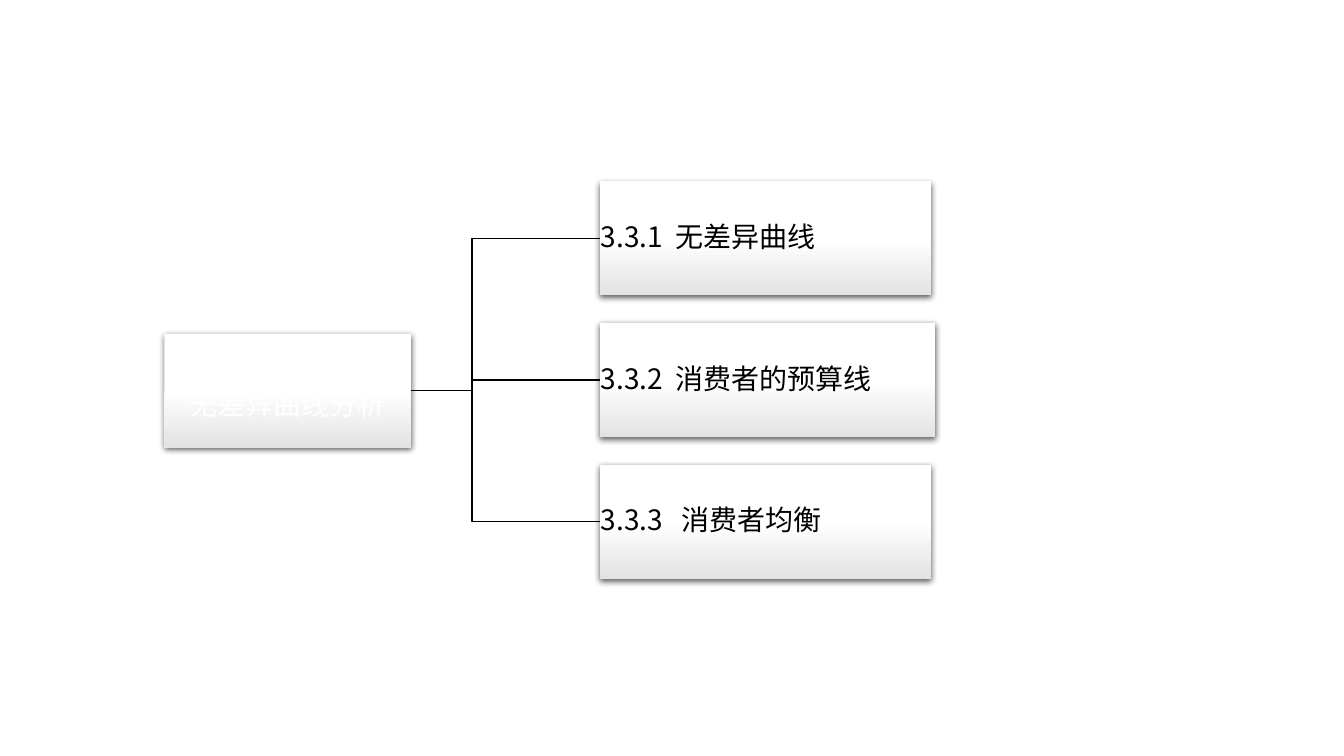
"""Build the indifference curve analysis outline slide."""
from lxml.etree import SubElement
from pptx import Presentation
from pptx.dml.color import RGBColor
from pptx.enum.shapes import MSO_SHAPE
from pptx.enum.text import MSO_ANCHOR, PP_ALIGN
from pptx.oxml import parse_xml
from pptx.oxml.ns import nsdecls, qn
from pptx.util import Pt

ROOT = "无差异曲线分析"
TOPICS = [
    ("3.3.1", "无差异曲线", 236.9, 53.3),
    ("3.3.2", "消费者的预算线", 239.8, 53.3),
    ("3.3.3", "消费者均衡", 236.9, 57.8),
]
THEME = {
    "font": "Noto Sans CJK SC", "size": 20, "ink": "000000", "light": "FFFFFF",
    "line": 1, "stops": [(0, "FFFFFF"), (50, "FFFFFF"), (100, "E3E3E3")],
}
ROOT_X, ROOT_Y, ROOT_W, BOX_H = 117.4, 238.3, 176.4, 81.4
TOPIC_X, TOPIC_Y, PITCH = 428.4, 129.6, 101.2
INSET, ROOT_TOP = 0.72, 24


def style_box(sp):
    """Give a box its vertical gradient and soft shadow."""
    sp.line.fill.background()
    stops = "".join(f'<a:gs pos="{pos * 1000}"><a:srgbClr val="{color}"/></a:gs>'
                    for pos, color in THEME["stops"])
    spPr = sp._element.spPr
    spPr.find(qn("a:prstGeom")).addnext(parse_xml(
        f'<a:gradFill {nsdecls("a")} rotWithShape="1"><a:gsLst>{stops}</a:gsLst>'
        '<a:lin ang="5400000" scaled="0"/></a:gradFill>'))
    spPr.append(parse_xml(
        f'<a:effectLst {nsdecls("a")}><a:outerShdw blurRad="57150" dist="19050" '
        'dir="5400000" algn="ctr" rotWithShape="0"><a:srgbClr val="000000">'
        '<a:alpha val="63000"/></a:srgbClr></a:outerShdw></a:effectLst>'))


def add_box(s, x, y, w, text, color, align, top=INSET, tab=None):
    """Add one labelled box."""
    sp = s.shapes.add_shape(MSO_SHAPE.RECTANGLE, Pt(x), Pt(y), Pt(w), Pt(BOX_H))
    style_box(sp)
    tf = sp.text_frame
    tf.word_wrap = True
    tf.vertical_anchor = MSO_ANCHOR.MIDDLE
    tf.margin_left = tf.margin_right = tf.margin_bottom = Pt(INSET)
    tf.margin_top = Pt(top)
    p = tf.paragraphs[0]
    p.alignment = align
    p.line_spacing = 0.9
    if tab:
        tabs = SubElement(p._p.get_or_add_pPr(), qn("a:tabLst"))
        SubElement(tabs, qn("a:tab"), pos=str(Pt(tab)), algn="l")
    r = p.add_run()
    r.text = text
    r.font.size = Pt(THEME["size"])
    r.font.color.rgb = RGBColor.from_string(color)
    r.font.name = THEME["font"]
    SubElement(r._r.get_or_add_rPr(), qn("a:ea"), typeface=THEME["font"])


def add_branch(s, end_y):
    """Draw the elbow line from the root box to one topic."""
    start_x, start_y = ROOT_X + ROOT_W * 0.73, ROOT_Y + BOX_H / 2
    bend_x = (start_x + TOPIC_X) / 2
    fb = s.shapes.build_freeform(Pt(start_x), Pt(start_y))
    fb.add_line_segments([(Pt(bend_x), Pt(start_y)), (Pt(bend_x), Pt(end_y)),
                          (Pt(TOPIC_X), Pt(end_y))], close=False)
    sp = fb.convert_to_shape()
    sp.shadow.inherit = False
    sp.fill.background()
    sp.line.color.rgb = RGBColor.from_string(THEME["ink"])
    sp.line.width = Pt(THEME["line"])


def main():
    """Compose and save the slide."""
    prs = Presentation()
    prs.slide_width, prs.slide_height = Pt(960), Pt(540)
    s = prs.slides.add_slide(prs.slide_layouts[6])
    tops = [TOPIC_Y + i * PITCH for i in range(len(TOPICS))]
    for y in reversed(tops):
        add_branch(s, y + BOX_H / 2)
    add_box(s, ROOT_X, ROOT_Y, ROOT_W, ROOT, THEME["light"], PP_ALIGN.CENTER, ROOT_TOP)
    for y, (number, title, w, tab) in zip(tops, TOPICS):
        add_box(s, TOPIC_X, y, w, f"{number}\t{title}", THEME["ink"], PP_ALIGN.LEFT, tab=tab)
    prs.save("out.pptx")


if __name__ == "__main__":
    main()
